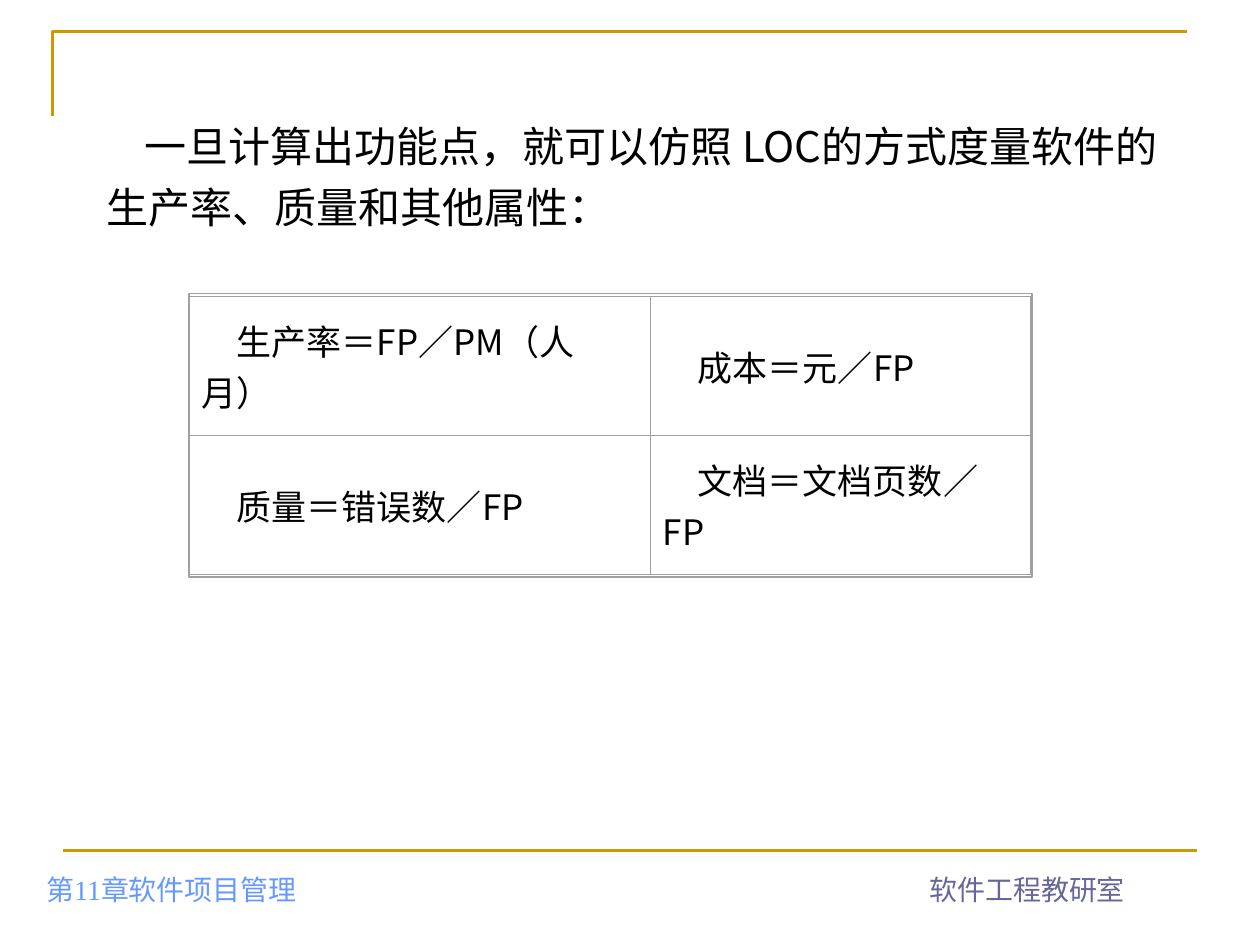
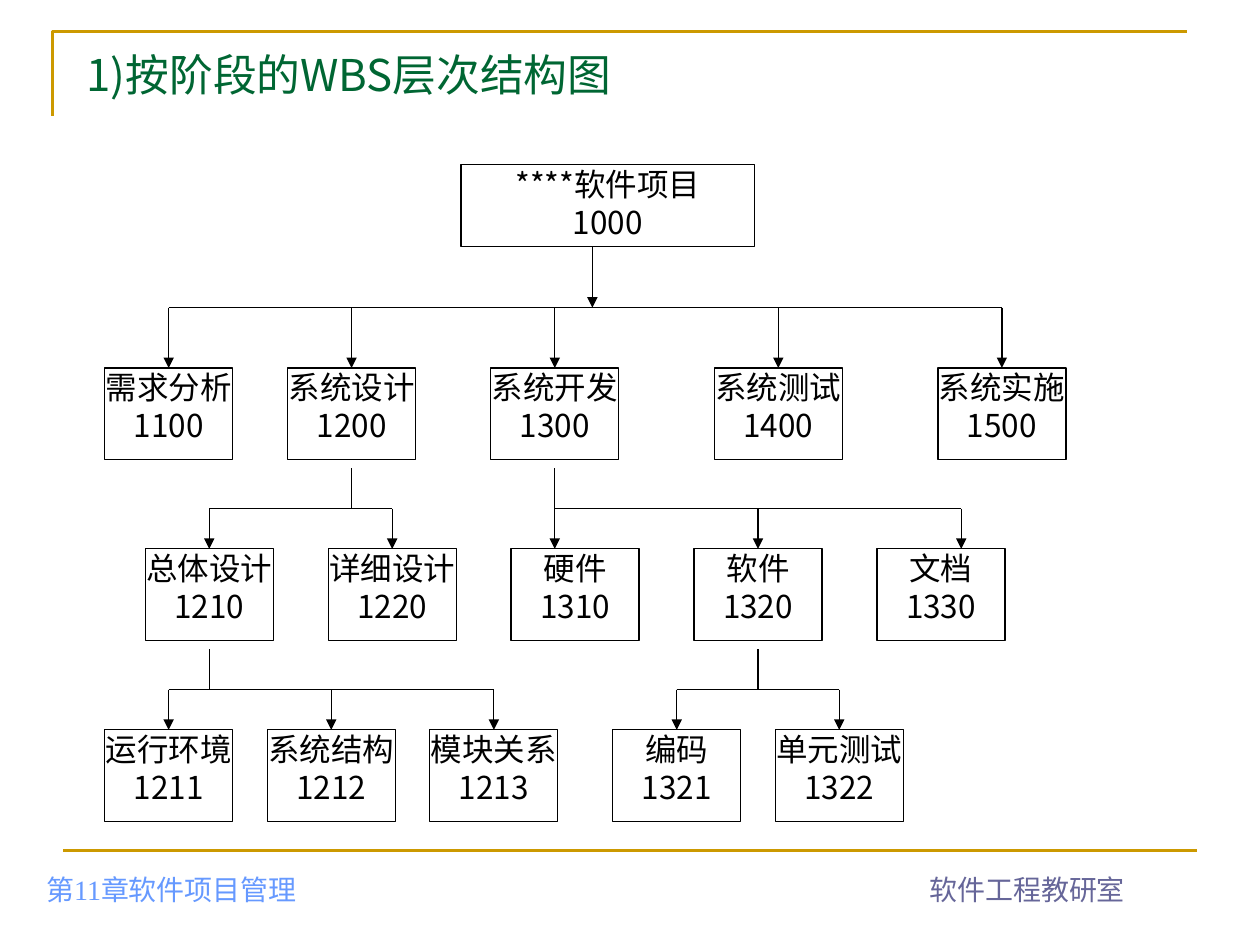
from dataclasses import dataclass
from itertools import groupby

from pptx import Presentation
from pptx.dml.color import RGBColor
from pptx.enum.shapes import MSO_CONNECTOR, MSO_SHAPE
from pptx.enum.text import MSO_ANCHOR, PP_ALIGN
from pptx.oxml.ns import qn
from pptx.util import Inches, Pt
from lxml.etree import SubElement

COLUMNS, ROWS = 62, 47


@dataclass(frozen=True)
class Theme:
    gold: str = "CC9900"
    chapter: str = "6699FF"
    office: str = "666699"
    title: str = "006633"
    ink: str = "000000"
    paper: str = "FFFFFF"
    grey: str = "A0A0A0"
    sans: str = "Noto Sans CJK SC"
    serif: str = "Times New Roman"
    title_size: int = 25
    body_size: int = 24
    cell_size: int = 20
    node_size: int = 18
    footer_size: int = 16
    rule: float = 1.5
    frame: float = 0.88
    thin: float = 0.75
    hair: float = 0.5


def set_all(target, **values):
    for name, value in values.items():
        setattr(target, name, value)


class Painter:
    """Draws on the current page; lengths are grid columns and rows."""

    def __init__(self, deck, theme):
        self.deck, self.theme, self.page = deck, theme, None

    def across(self, columns):
        return round(self.deck.slide_width * columns / COLUMNS)

    def down(self, rows):
        return round(self.deck.slide_height * rows / ROWS)

    def place(self, left, top, width, height):
        return self.across(left), self.down(top), self.across(width), self.down(height)

    def new_page(self):
        theme = self.theme
        self.page = self.deck.slides.add_slide(self.deck.slide_layouts[6])
        self.corner(2.6, 1.57, 58.4, 5.77)
        self.line((3.1, 42.3), (58.9, 42.3), theme.gold, theme.rule)
        footer = {"size": theme.footer_size, "font": theme.serif, "anchor": MSO_ANCHOR.BOTTOM}
        self.text("第11章软件项目管理", (1.67, 42.24, 24.43, 3.13), color=theme.chapter, **footer)
        self.text("软件工程教研室", (40.73, 42.24, 19.65, 3.13), color=theme.office,
                  align=PP_ALIGN.CENTER, **footer)

    def outline(self, shape, color, width, fill=None):
        shape.shadow.inherit = False
        shape.line.color.rgb = RGBColor.from_string(color)
        shape.line.width = Pt(width)
        if fill:
            shape.fill.solid()
            shape.fill.fore_color.rgb = RGBColor.from_string(fill)
        else:
            shape.fill.background()

    def corner(self, left, top, right, bottom):
        builder = self.page.shapes.build_freeform(self.across(left), self.down(bottom))
        builder.add_line_segments([(self.across(left), self.down(top)),
                                   (self.across(right), self.down(top))], close=False)
        self.outline(builder.convert_to_shape(), self.theme.gold, self.theme.rule)

    def line(self, start, end, color, width, arrow=False, target=None):
        """Straight line; a target box is joined at the middle of its top."""
        link = self.page.shapes.add_connector(
            MSO_CONNECTOR.STRAIGHT, self.across(start[0]), self.down(start[1]),
            self.across(end[0]), self.down(end[1]))
        link.line.color.rgb = RGBColor.from_string(color)
        link.line.width = Pt(width)
        if arrow:
            SubElement(link.line._get_or_add_ln(), qn("a:tailEnd"), type="triangle")
        SubElement(link._element.spPr, qn("a:effectLst"))
        if target is not None:
            link.end_connect(target, 0)

    def add_lines(self, frame, lines, size, color=None, font=None, align=PP_ALIGN.LEFT,
                  indent=0, spacing=None):
        for number, content in enumerate(lines):
            para = frame.paragraphs[0] if number == 0 else frame.add_paragraph()
            set_all(para, alignment=align, line_spacing=spacing)
            if indent:
                para._p.get_or_add_pPr().set("indent", str(self.across(indent)))
            span = para.add_run()
            span.text = content
            set_all(span.font, size=Pt(size), name=font or self.theme.sans)
            span.font.color.rgb = RGBColor.from_string(color or self.theme.ink)
            SubElement(span._r.get_or_add_rPr(), qn("a:ea"), typeface=self.theme.sans)

    def text(self, content, area, anchor=MSO_ANCHOR.TOP, **style):
        frame = self.page.shapes.add_textbox(*self.place(*area)).text_frame
        set_all(frame, word_wrap=True, vertical_anchor=anchor)
        self.add_lines(frame, [content], **style)

    def rectangle(self, area, color, width, fill=None):
        box = self.page.shapes.add_shape(MSO_SHAPE.RECTANGLE, *self.place(*area))
        self.outline(box, color, width, fill)
        return box

    def node(self, area, lines):
        box = self.rectangle(area, self.theme.ink, self.theme.thin, self.theme.paper)
        set_all(box.text_frame, word_wrap=True, vertical_anchor=MSO_ANCHOR.TOP, margin_left=0,
                margin_right=0, margin_top=0, margin_bottom=0)
        self.add_lines(box.text_frame, lines, self.theme.node_size, align=PP_ALIGN.CENTER)
        return box

    def table(self, left, top, widths, row_height, values, indent):
        area = self.place(left, top, sum(widths), row_height * len(values))
        grid = self.page.shapes.add_table(len(values), len(widths), *area).table
        set_all(grid, first_row=False, horz_banding=False)
        for column, width in zip(grid.columns, widths):
            column.width = self.across(width)
        for row, contents in zip(grid.rows, values):
            row.height = self.down(row_height)
            for cell, content in zip(row.cells, contents):
                cell.vertical_anchor = MSO_ANCHOR.MIDDLE
                self.add_lines(cell.text_frame, [content], self.theme.cell_size, indent=indent)
                self.cell_borders(cell)
                cell.fill.background()

    def cell_borders(self, cell):
        properties = cell._tc.get_or_add_tcPr()
        for side in ("lnL", "lnR", "lnT", "lnB"):
            edge = SubElement(properties, qn(f"a:{side}"), w=str(int(Pt(self.theme.hair))))
            fill = SubElement(edge, qn("a:solidFill"))
            SubElement(fill, qn("a:srgbClr"), val=self.theme.grey)


def metrics_page(painter):
    theme = painter.theme
    painter.new_page()
    painter.text("一旦计算出功能点，就可以仿照 LOC的方式度量软件的生产率、质量和其他属性：",
                 (4.65, 5.2, 53.2, 6.64), size=theme.body_size, indent=1.86, spacing=1.2)
    painter.table(9.3, 14.73, (22.69, 18.72), 6.92,
                  [("生产率＝FP／PM（人月）", "成本＝元／FP"),
                   ("质量＝错误数／FP", "文档＝文档页数／FP")], indent=1.72)
    painter.rectangle((9.3, 14.6, 41.48, 14.1), theme.grey, theme.frame)


TREE_LEFT, TREE_TOP, LEVEL_STEP = 5.15, 9.3, 9
NODE_WIDTH, NODE_HEIGHT = 6.3, 4.57
ROOT = "1000"
# code: (name, columns from the left of the tree)
TASKS = {
    "1100": ("需求分析", 0), "1200": ("系统设计", 9), "1300": ("系统开发", 19),
    "1400": ("系统测试", 30), "1500": ("系统实施", 41),
    "1210": ("总体设计", 2), "1220": ("详细设计", 11),
    "1310": ("硬件", 20), "1320": ("软件", 29), "1330": ("文档", 38),
    "1211": ("运行环境", 0), "1212": ("系统结构", 8), "1213": ("模块关系", 16),
    "1321": ("编码", 25), "1322": ("单元测试", 33),
}
ARROW_SHIFT = {"1310": -1, "1330": 1}


def parent_of(code):
    return code.rstrip("0")[:-1].ljust(len(code), "0")


def top_of(code):
    level = len(code.rstrip("0")) - 1
    return TREE_TOP + LEVEL_STEP * level


def center_of(code):
    return TREE_LEFT + TASKS[code][1] + NODE_WIDTH / 2


def breakdown_page(painter):
    theme = painter.theme
    painter.new_page()
    painter.text("1)按阶段的WBS层次结构图", (3.66, 2.44, 45.88, 2.44), MSO_ANCHOR.MIDDLE,
                 size=theme.title_size, color=theme.title)
    painter.node((22.69, 8.2, 14.45, 4.07), ["****软件项目", ROOT])
    boxes = {code: painter.node((TREE_LEFT + column, top_of(code), NODE_WIDTH, NODE_HEIGHT),
                                [name, code])
             for code, (name, column) in TASKS.items()}
    for parent, group in groupby(TASKS, parent_of):
        draw_branch(painter, parent, list(group), boxes)


def draw_branch(painter, parent, children, boxes):
    """Stem below the parent, a crossbar, and one arrow down to each child."""
    ink, thin = painter.theme.ink, painter.theme.thin
    is_root = parent == ROOT
    gap = 3 if is_root else 2
    stem = TREE_LEFT + 24 if is_root else center_of(parent)
    top = top_of(children[0])
    bar = top - gap
    drops = {code: center_of(code) + ARROW_SHIFT.get(code, 0) for code in children}
    painter.line((stem, bar - gap), (stem, bar), ink, thin, arrow=is_root)
    painter.line((min(drops.values()), bar), (max(drops.values()), bar), ink, thin)
    for code, drop in drops.items():
        target = None if code in ARROW_SHIFT else boxes[code]
        painter.line((drop, bar), (drop, top), ink, thin, arrow=True, target=target)


def main():
    deck = Presentation()
    set_all(deck, slide_width=Inches(10), slide_height=Inches(7.5))
    painter = Painter(deck, Theme())
    metrics_page(painter)
    breakdown_page(painter)
    deck.save("out.pptx")


if __name__ == "__main__":
    main()
